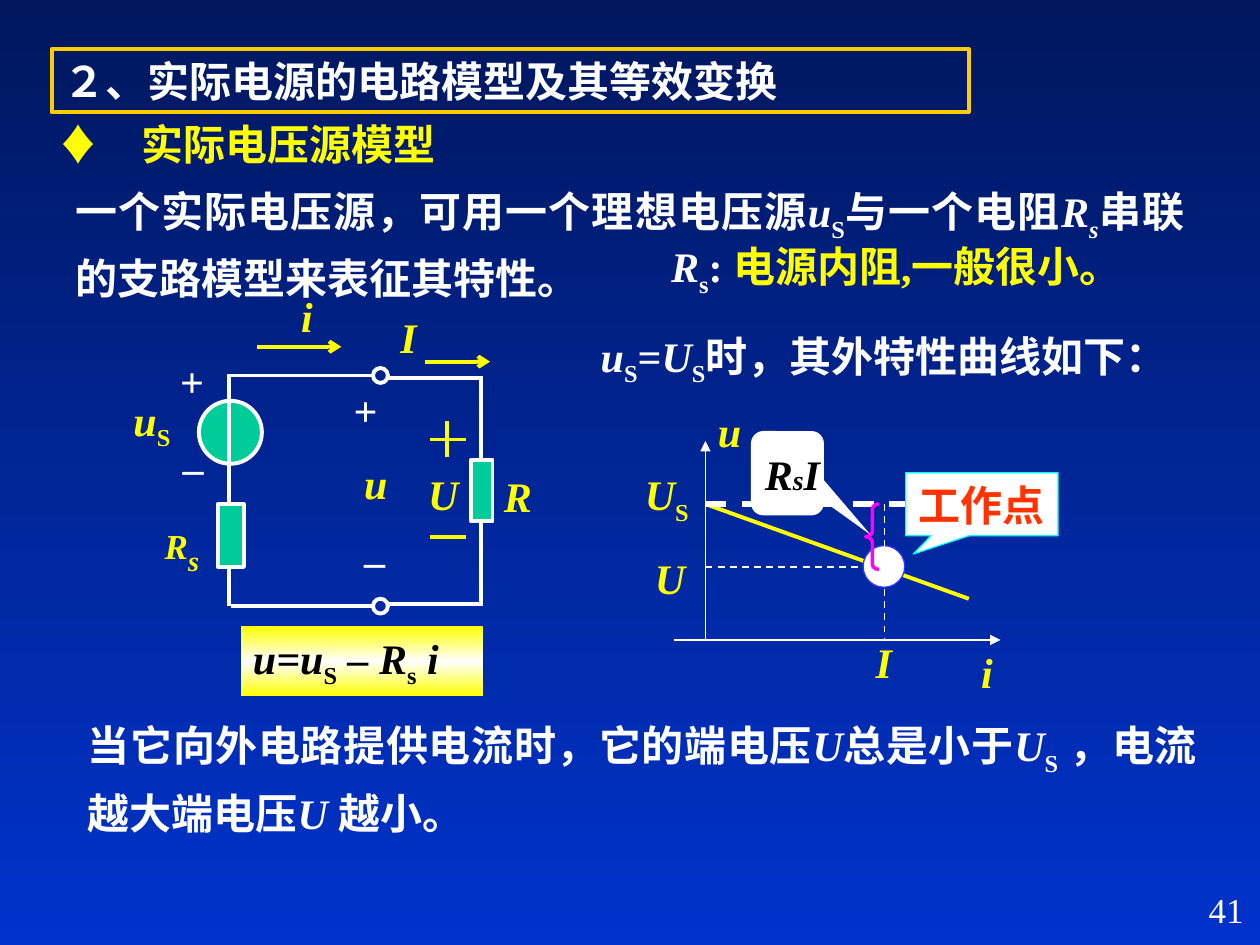
from copy import deepcopy

from lxml import etree
from pptx import Presentation
from pptx import util as u
from pptx.dml.color import RGBColor
from pptx.enum import dml, shapes, text
from pptx.oxml.ns import qn

WHITE, YELLOW, GREEN, BLACK = "FFFFFF", "FFFF00", "00CC99", "000000"
SHAPE = shapes.MSO_SHAPE
ALIGN = text.PP_ALIGN
MIDDLE = text.MSO_ANCHOR.MIDDLE


def colour(value):
    """Turn a hex string into a colour."""
    return RGBColor.from_string(value)


def gradient(fill, values):
    """Fill from top to bottom with evenly spaced colours."""
    fill.gradient()
    fill.gradient_angle = 270
    first = fill.gradient_stops[0]._gs
    for _ in values[2:]:
        first.addnext(deepcopy(first))
    for index, (stop, value) in enumerate(zip(fill.gradient_stops, values)):
        stop.color.rgb = colour(value)
        stop.position = index / (len(values) - 1)


def write(shape, runs, size=24, color=WHITE, bold=True, align=ALIGN.LEFT,
          anchor=text.MSO_ANCHOR.TOP, wrap=True, spacing=None, left=0.25, font="Times New Roman"):
    """Write runs of (text, marks, overrides); mark i is italic and _ is subscript."""
    frame = shape.text_frame
    frame.word_wrap, frame.vertical_anchor = wrap, anchor
    frame.margin_left, frame.margin_right = u.Cm(left), u.Cm(0.25)
    frame.margin_top = frame.margin_bottom = u.Cm(0.13)
    paragraph = frame.paragraphs[0]
    paragraph.alignment = align
    if spacing:
        paragraph.line_spacing = spacing
    for content, marks, *overrides in runs:
        style = {"size": size, "color": color, "font": font}
        style.update(*overrides)
        run = paragraph.add_run()
        run.text = content
        run.font.name, run.font.size = style["font"], u.Pt(style["size"])
        run.font.bold, run.font.italic = bold, "i" in marks
        run.font.color.rgb = colour(style["color"])
        if "_" in marks:
            run._r.get_or_add_rPr().set("baseline", "-25000")


class Board:
    """Holds the drawing style and the current slide."""

    def __init__(self, slide, width=2.25):
        self.slide, self.width = slide, width

    def label(self, left, top, width, runs, height=1.27, **style):
        """Add a text box."""
        box = self.slide.shapes.add_textbox(*map(u.Cm, (left, top, width, height)))
        write(box, [(runs, "i")] if isinstance(runs, str) else runs, **style)

    def shape(self, kind, left, top, width, height, fill=None, line=None, weight=None, adjust=()):
        """Add a preset shape."""
        shape = self.slide.shapes.add_shape(kind, *map(u.Cm, (left, top, width, height)))
        shape.shadow.inherit = False
        for index, value in enumerate(adjust):
            shape.adjustments[index] = value
        if isinstance(fill, list):
            gradient(shape.fill, fill)
        elif fill:
            shape.fill.solid()
            shape.fill.fore_color.rgb = colour(fill)
        else:
            shape.fill.background()
        if line:
            shape.line.color.rgb = colour(line)
            shape.line.width = u.Pt(weight or self.width)
        else:
            shape.line.fill.background()
        return shape

    def line(self, x1, y1, x2, y2, color=WHITE, weight=None, dash=False, arrow=None):
        """Add a straight line, dashed or with an arrowhead if asked."""
        line = self.slide.shapes.add_connector(
            shapes.MSO_CONNECTOR.STRAIGHT, *map(u.Cm, (x1, y1, x2, y2)))
        line.line.color.rgb = colour(color)
        line.line.width = u.Pt(weight or self.width)
        if dash:
            line.line.dash_style = dml.MSO_LINE.DASH
        if arrow:
            etree.SubElement(line.line._get_or_add_ln(), qn("a:tailEnd"), type=arrow)
        etree.SubElement(line._element.spPr, qn("a:effectLst"))


def add_texts(board):
    """Add the heading, the statements and the page number."""
    title = board.shape(SHAPE.RECTANGLE, 1.04, 0.99, 18.49, 1.27, line="FFCC00")
    write(title, [("２、实际电源的电路模型及其等效变换", "")])
    board.label(0.91, 2.26, 8.48, [("♦", "", {"font": "Arial"}), ("　实际电压源模型", "")],
                color=YELLOW)
    board.label(1.27, 3.38, 22.86, [
        ("一个实际电压源，可用一个理想电压源", ""), ("u", "i"), ("S", "_"), ("与一个电阻", ""),
        ("R", "i"), ("s", "i_"), ("串联的支路模型来表征其特性。", "")],
        height=3.02, align=ALIGN.JUSTIFY, spacing=1.2)
    board.label(13.28, 4.72, 10.85, [
        ("R", "i"), ("s", "_"), (": ", ""), ("电源内阻,一般很小。", "", {"color": YELLOW})])
    board.label(11.86, 6.53, 12.27, [
        ("u", "i"), ("S", "_"), ("=", ""), ("U", "i"), ("S", "_"), ("时，其外特性曲线如下：", "")])
    board.label(1.52, 14.15, 22.86, [
        ("当它向外电路提供电流时，它的端电压", ""), ("U", "i"), ("总是小于", ""), ("U", "i"),
        ("S", "_"), (" ，电流越大端电压", ""), ("U ", "i"), ("越小。", "")],
        height=2.87, align=ALIGN.JUSTIFY, spacing=1.2)
    board.label(20.04, 17.78, 5.28, [("41", "")], size=20, bold=False, align=ALIGN.RIGHT)


def add_circuit(board):
    """Draw the source, its load and the terminal equation."""
    board.shape(SHAPE.OVAL, 4.01, 8.08, 1.27, 1.27, GREEN, WHITE)
    board.line(4.62, 7.54, 4.62, 12.22)
    board.line(4.6, 7.57, 7.52, 7.57)
    board.line(4.65, 12.22, 7.52, 12.22)
    board.line(9.7, 7.57, 9.7, 12.22)
    for top, wire in ((7.42, 7.62), (12.07, 12.17)):
        board.shape(SHAPE.OVAL, 7.52, top, 0.3, 0.3, line=WHITE)
        board.line(7.82, wire, 9.73, wire)
    board.shape(SHAPE.RECTANGLE, 4.39, 10.16, 0.53, 1.27, GREEN, WHITE)
    board.shape(SHAPE.RECTANGLE, 9.5, 9.27, 0.43, 1.24, GREEN, WHITE)
    for x1, x2, y in ((5.18, 6.88, 6.99), (8.56, 9.88, 7.29)):
        board.line(x1, y, x2, y, YELLOW, arrow="arrow")
    for y in (8.86, 10.82):
        board.line(8.66, y, 9.4, y, YELLOW)
    board.line(9.02, 9.22, 9.02, 8.48, YELLOW)
    for left, top, width, name in (
            (5.82, 5.72, 1.07, "i"), (7.09, 9.09, 1.27, "u"), (9.91, 9.35, 1.07, "R"),
            (8.38, 9.32, 1.12, "U"), (7.82, 6.15, 0.84, "I")):
        board.label(left, top, width, name, color=YELLOW)
    for left, top, width, sign in (
            (3.38, 7.04, 0.99, "+"), (3.43, 8.48, 0.94, "_"),
            (6.88, 7.62, 1.27, "+"), (7.09, 10.36, 1.27, "_")):
        board.label(left, top, width, [(sign, "")])
    board.label(2.44, 7.82, 1.47, [("u", "i"), ("S", "_")], color=YELLOW)
    board.label(3.07, 10.16, 1.27, [("R", "i"), ("s", "i_", {"size": 28})],
                size=20, color=YELLOW, height=1.6)
    equation = board.shape(SHAPE.RECTANGLE, 4.85, 12.62, 4.88, 1.42, [YELLOW, WHITE, YELLOW])
    write(equation, [("u=u", "i"), ("S", "_"), (" – R", "i"), ("s", "_"), (" i", "i")],
          color=BLACK)


def add_graph(board):
    """Draw the external characteristic with its working point."""
    left, right, base, top, middle = 14.22, 17.83, 12.9, 10.16, 11.43
    board.line(left, top, 19.53, 12.07, YELLOW)
    board.line(13.59, base, 20.17, base, weight=1, arrow="triangle")
    board.line(left, base, left, 8.89, weight=1, arrow="triangle")
    board.line(left, top, 19.74, top, weight=3, dash=True)
    board.line(left, middle, right, middle, weight=1, dash=True)
    board.shape(SHAPE.OVAL, 17.4, 11, 0.84, 0.84, WHITE, "3333FF", 0.75)
    board.line(right, top, right, base, weight=1, dash=True)
    point = board.shape(SHAPE.RECTANGULAR_CALLOUT, 18.26, 9.53, 3.07, 1.27,
                        WHITE, "00FFFF", 0.75, (-0.45, 0.79))
    write(point, [("工作点", "")], color="FF3300", align=ALIGN.CENTER, anchor=MIDDLE, wrap=False)
    board.shape(SHAPE.LEFT_BRACE, 17.45, top, 0.27, 1.32, line="FF00FF", weight=2,
                adjust=(0.4, 0.5))
    drop = board.shape(SHAPE.ROUNDED_RECTANGULAR_CALLOUT, 15.14, 8.69, 1.47, 1.7,
                       WHITE, adjust=(1.14, 0.73, 0.17))
    write(drop, [("R", "i"), ("s", "i", {"size": 16}), ("I", "i")], color=BLACK,
          align=ALIGN.CENTER, anchor=MIDDLE, wrap=False, left=0.45)
    for x, y, width, name in ((14.22, 8.05, 1.07, "u"), (19.53, 12.9, 0.84, "i"),
                              (12.95, 11, 1.07, "U"), (17.4, 12.7, 0.84, "I")):
        board.label(x, y, width, name, color=YELLOW)
    board.label(12.75, 9.32, 1.47, [("U", "i"), ("S", "_")], color=YELLOW)


def main():
    """Build and save the slide."""
    presentation = Presentation()
    presentation.slide_width, presentation.slide_height = u.Cm(25.4), u.Cm(19.05)
    slide = presentation.slides.add_slide(presentation.slide_layouts[6])
    gradient(slide.background.fill, ["00175E", "0033CC"])
    board = Board(slide)
    add_texts(board)
    add_circuit(board)
    add_graph(board)
    presentation.save("out.pptx")


if __name__ == "__main__":
    main()
